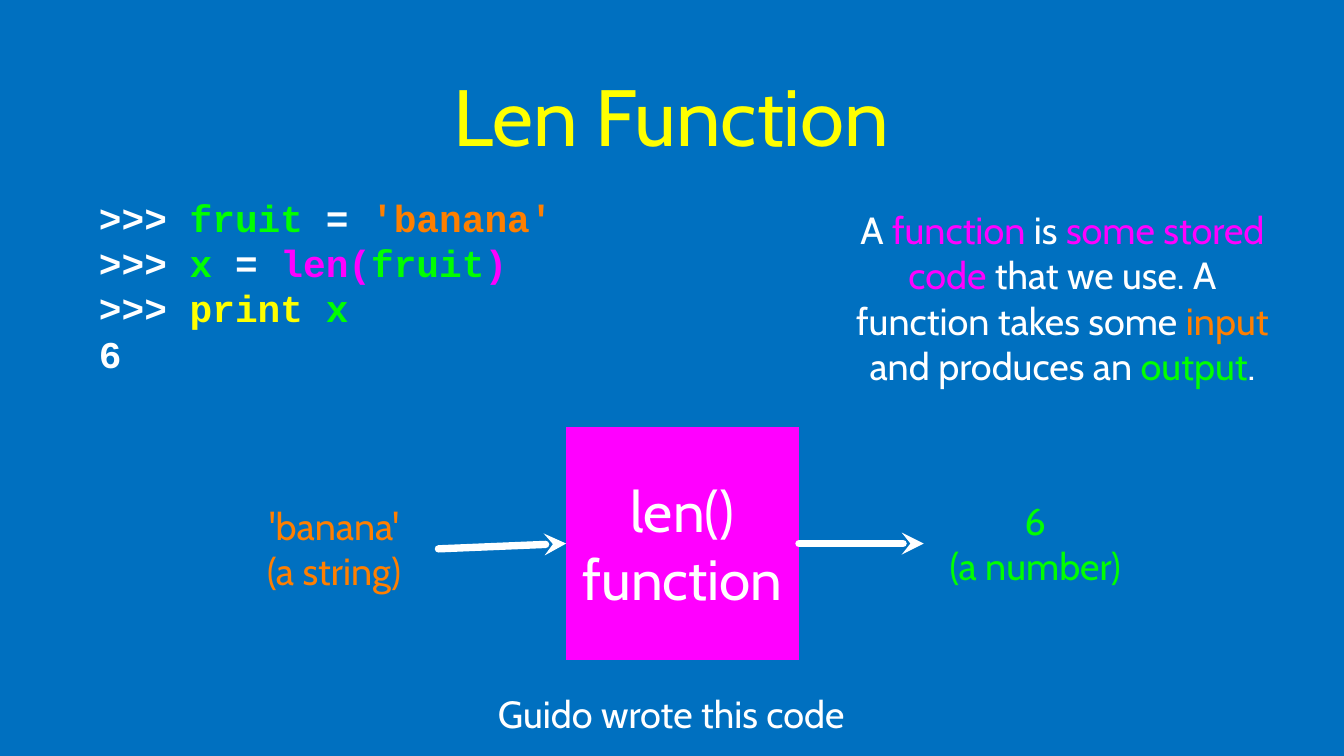
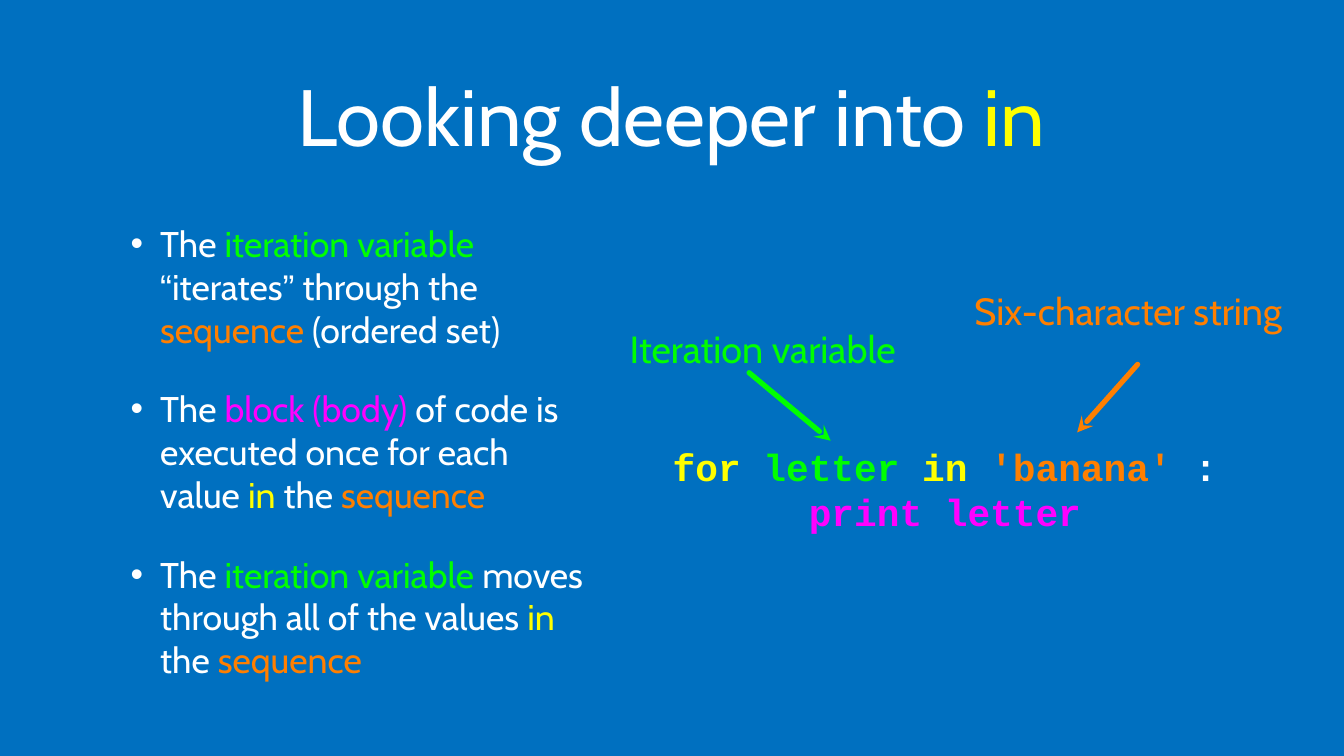
from lxml import etree
from pptx import Presentation
from pptx.dml.color import RGBColor
from pptx.enum.shapes import MSO_CONNECTOR, MSO_SHAPE
from pptx.enum.text import MSO_ANCHOR, PP_ALIGN
from pptx.oxml.ns import qn
from pptx.util import Inches, Pt

LEFT, CENTER = PP_ALIGN.LEFT, PP_ALIGN.CENTER
MIDDLE = MSO_ANCHOR.MIDDLE
STRAIGHT = MSO_CONNECTOR.STRAIGHT
RECTANGLE = MSO_SHAPE.RECTANGLE
LEFT_SIDE, RIGHT_SIDE = 1, 3

BLUE, WHITE, YELLOW = "0070C0", "FFFFFF", "FFFF00"
GREEN, ORANGE, MAGENTA = "00FF00", "FF7F00", "FF00FF"
BODY_FONT, CODE_FONT, QUOTE_FONT = "Cabin", "Courier New", "Arial"
TITLE_SIZE, TEXT_SIZE, BULLET_SIZE, BOX_SIZE = 76, 36, 34, 54
CODE_INDENT = 1.8


def color(hex_string):
    return RGBColor.from_string(hex_string)


def fill_text(shape, paragraphs, size=TEXT_SIZE, font=BODY_FONT, bold=False,
              align=CENTER, margin=0):
    """Write paragraphs given as lists of (text, colour[, font]) spans."""
    frame = shape.text_frame
    frame.word_wrap = True
    frame.vertical_anchor = MIDDLE
    frame.margin_left = frame.margin_right = Inches(margin)
    frame.margin_top = frame.margin_bottom = Inches(margin)
    for index, spans in enumerate(paragraphs):
        para = frame.add_paragraph() if index else frame.paragraphs[0]
        para.alignment = align
        for text, hex_string, *own_font in spans:
            span = para.add_run()
            span.text = text
            span.font.name = own_font[0] if own_font else font
            span.font.size = Pt(size)
            span.font.bold = bold
            span.font.color.rgb = color(hex_string)
    return frame


def add_text(page, left, top, width, height, paragraphs, **style):
    box = page.shapes.add_textbox(Inches(left), Inches(top), Inches(width), Inches(height))
    return fill_text(box, paragraphs, **style)


def add_code(page, left, top, width, height, lines):
    return add_text(page, left, top, width, height, lines,
                    font=CODE_FONT, bold=True, align=LEFT)


def add_bullets(page, left, top, width, height, items):
    frame = add_text(page, left, top, width, height, items,
                     size=BULLET_SIZE, align=LEFT, margin=0.04)
    for index, para in enumerate(frame.paragraphs):
        if index:
            para.space_before = Pt(35)
        properties = para._p.get_or_add_pPr()
        properties.set("marL", str(Inches(0.82)))
        properties.set("indent", str(Inches(-0.39)))
        bullet_color = etree.SubElement(properties, qn("a:buClr"))
        etree.SubElement(bullet_color, qn("a:srgbClr"), val=WHITE)
        etree.SubElement(properties, qn("a:buFont"), typeface=QUOTE_FONT)
        etree.SubElement(properties, qn("a:buChar"), char="•")


def add_square(page, left, top, side, hex_string, paragraphs):
    square = page.shapes.add_shape(RECTANGLE, Inches(left), Inches(top),
                                   Inches(side), Inches(side))
    square.shadow.inherit = False
    square.fill.solid()
    square.fill.fore_color.rgb = color(hex_string)
    square.line.fill.background()
    fill_text(square, paragraphs, size=BOX_SIZE)
    return square


def add_arrow(page, start, tip, hex_string, weight):
    arrow = page.shapes.add_connector(STRAIGHT, *(Inches(value) for value in start + tip))
    arrow.line.color.rgb = color(hex_string)
    arrow.line.width = Pt(weight)
    line = arrow.line._get_or_add_ln()
    line.set("cap", "rnd")
    etree.SubElement(line, qn("a:tailEnd"), type="stealth")
    etree.SubElement(arrow._element.spPr, qn("a:effectLst"))
    return arrow


def add_page(deck, title):
    """Add a blue slide with its centred title spans."""
    page = deck.slides.add_slide(deck.slide_layouts[6])
    page.background.fill.solid()
    page.background.fill.fore_color.rgb = color(BLUE)
    add_text(page, 1.26, 0.26, 15.24, 2.51, [title], size=TITLE_SIZE, margin=0.04)
    return page


def build_len_page(deck):
    page = add_page(deck, [("Len Function", YELLOW)])
    prompt = (">>> ", WHITE)
    add_code(page, 1.31, 2.56, 6.17, 2.42, [
        [prompt, ("fruit ", GREEN), ("=", WHITE), (" 'banana'", ORANGE)],
        [prompt, ("x ", GREEN), ("= ", WHITE), ("len(", MAGENTA),
         ("fruit", GREEN), (")", MAGENTA)],
        [prompt, ("print ", YELLOW), ("x", GREEN)],
        [("6", WHITE)],
    ])
    square = add_square(page, 7.49, 5.65, 3.08, MAGENTA,
                        [[("len()", WHITE)], [("function", WHITE)]])
    input_arrow = add_arrow(page, (5.8, 7.26), (7.49, 7.19), WHITE, 7)
    input_arrow.end_connect(square, LEFT_SIDE)
    output_arrow = add_arrow(page, (10.57, 7.19), (12.22, 7.19), WHITE, 7)
    output_arrow.begin_connect(square, RIGHT_SIDE)
    add_text(page, 3.51, 6.64, 1.82, 1.21,
             [[("'banana'", ORANGE)], [("(a string)", ORANGE)]])
    add_text(page, 12.51, 6.56, 2.37, 1.25, [[("6", GREEN)], [("(a number)", GREEN)]])
    add_text(page, 11.25, 2.74, 5.61, 2.39, [[
        ("A ", WHITE), ("function", MAGENTA), (" is ", WHITE),
        ("some stored code", MAGENTA),
        (" that we use. A function takes some ", WHITE), ("input", ORANGE),
        (" and produces an ", WHITE), ("output", GREEN), (".", WHITE),
    ]])
    add_text(page, 6.51, 9.1, 4.74, 0.68, [[("Guido wrote this code", WHITE)]])


def build_in_page(deck):
    page = add_page(deck, [("Looking deeper into ", WHITE), ("in", YELLOW)])
    the = ("The ", WHITE)
    variable = ("iteration variable ", GREEN)
    in_the_sequence = [("in", YELLOW), (" the ", WHITE), ("sequence", ORANGE)]
    add_bullets(page, 1.26, 2.85, 6.54, 6.24, [
        [the, variable, ("“", WHITE, QUOTE_FONT), ("iterates", WHITE),
         ("”", WHITE, QUOTE_FONT), (" through the ", WHITE),
         ("sequence ", ORANGE), ("(ordered set)", WHITE)],
        [the, ("block (body)", MAGENTA),
         (" of code is executed once for each value ", WHITE), *in_the_sequence],
        [the, variable, ("moves through all of the values ", WHITE), *in_the_sequence],
    ])
    code = add_code(page, 8.9, 5.72, 7.87, 1.5, [
        [("for ", YELLOW), ("letter ", GREEN), ("in ", YELLOW),
         ("'banana' ", ORANGE), (":", WHITE)],
        [("print letter", MAGENTA)],
    ])
    code.paragraphs[1]._p.get_or_add_pPr().set("marL", str(Inches(CODE_INDENT)))
    add_text(page, 8.31, 4.27, 3.56, 0.68, [[("Iteration variable", GREEN)]])
    add_text(page, 12.36, 3.76, 5.13, 0.68, [[("Six-character string", ORANGE)]])
    add_arrow(page, (9.91, 4.93), (10.99, 5.83), GREEN, 5)
    add_arrow(page, (15.05, 4.82), (14.25, 5.72), ORANGE, 5)


def main():
    deck = Presentation()
    deck.slide_width, deck.slide_height = Inches(17.78), Inches(10)
    build_len_page(deck)
    build_in_page(deck)
    deck.save("out.pptx")


if __name__ == "__main__":
    main()
